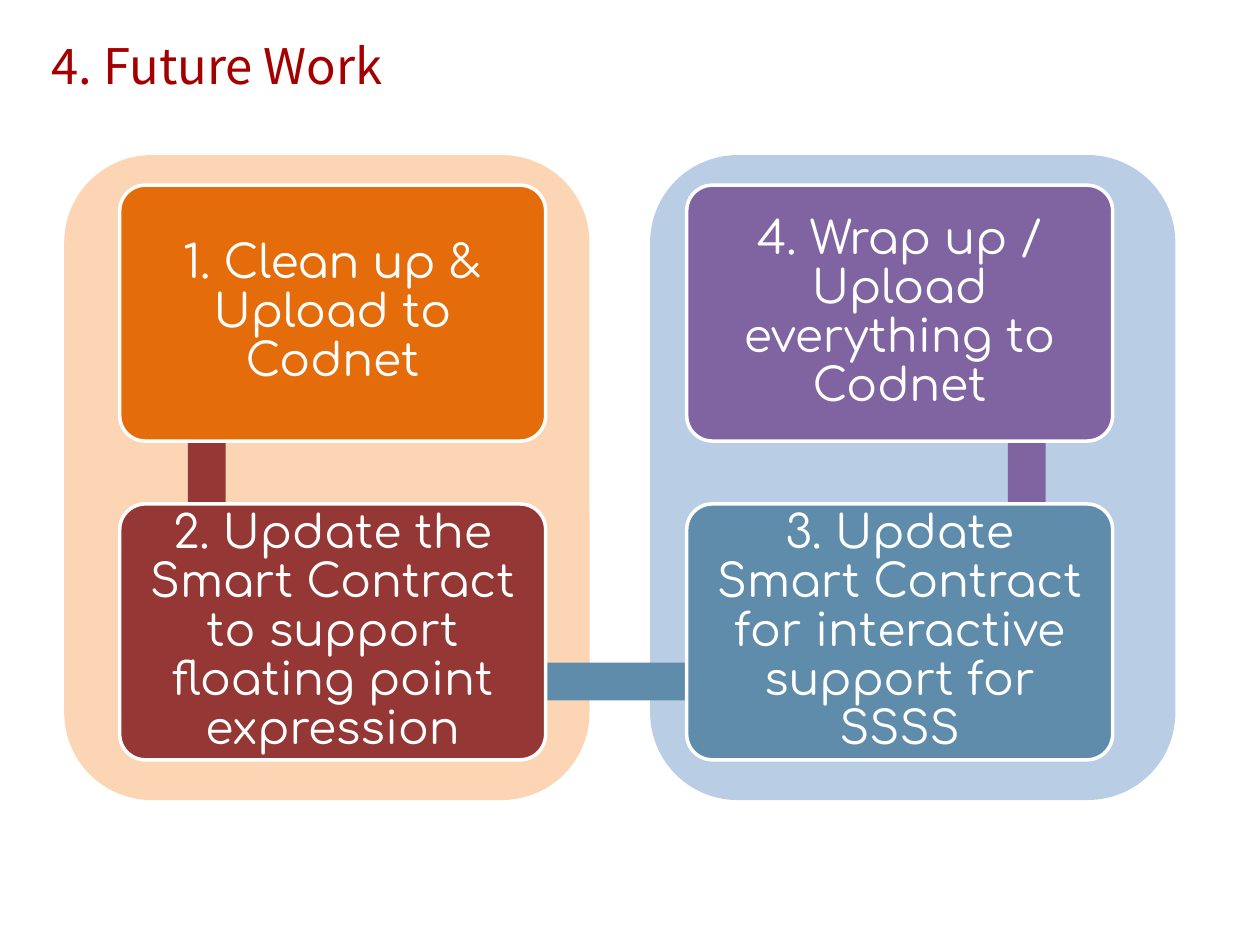
"""Build the Future Work slide: four linked steps on two panels."""
from dataclasses import dataclass

from pptx import Presentation
from pptx.dml.color import RGBColor
from pptx.enum.shapes import MSO_SHAPE
from pptx.enum.text import MSO_ANCHOR, PP_ALIGN
from pptx.util import Pt

RECT, ROUND = MSO_SHAPE.RECTANGLE, MSO_SHAPE.ROUNDED_RECTANGLE
MIDDLE = MSO_ANCHOR.MIDDLE
LEFT, CENTER = PP_ALIGN.LEFT, PP_ALIGN.CENTER


@dataclass(frozen=True)
class Theme:
    """Colours, fonts and type sizes."""
    title: str = "A40000"
    white: str = "FFFFFF"
    peach: str = "FCD5B5"
    sky: str = "B9CDE5"
    orange: str = "E46C0A"
    red: str = "953735"
    blue: str = "608CAB"
    purple: str = "8064A2"
    title_font: str = "Noto Sans CJK KR"
    step_font: str = "Comfortaa"
    title_size: float = 28
    step_size: float = 26


@dataclass(frozen=True)
class Block:
    """A filled shape: left, top, width and height in points."""
    box: tuple[float, float, float, float]
    color: str
    rotation: float = 0


@dataclass(frozen=True)
class Step:
    """A step card at a grid column and row."""
    col: int
    row: int
    color: str
    text: str


THEME = Theme()
GRID_X, GRID_Y, PITCH_X, PITCH_Y = 68.4, 105.84, 324, 182.16
CARD_W, CARD_H = 243.4, 146.2
BAR_LENGTH, BAR_WIDTH = 181.4, 21.6
PANELS = [
    Block((371.5, 88.6, 300.2, 368.6), THEME.sky),
    Block((36.7, 88.6, 300.2, 368.6), THEME.peach),
]
BARS = [
    Block((27.4, 221.8, BAR_LENGTH, BAR_WIDTH), THEME.red, 90),
    Block((118.8, 378.7, 322.6, BAR_WIDTH), THEME.blue),
    Block((496.1, 221.8, BAR_LENGTH, BAR_WIDTH), THEME.purple, 270),
]
STEPS = [
    Step(0, 0, THEME.orange, "1. Clean up & Upload to Codnet"),
    Step(0, 1, THEME.red,
         "2. Update the Smart Contract to support floating point expression"),
    Step(1, 1, THEME.blue,
         "3. Update Smart Contract for interactive support for SSSS"),
    Step(1, 0, THEME.purple, "4. Wrap up / Upload everything to Codnet"),
]


def add_block(s, block: Block, kind):
    """Draw a filled shape without outline or shadow."""
    sp = s.shapes.add_shape(kind, *map(Pt, block.box))
    sp.shadow.inherit = False
    sp.fill.solid()
    sp.fill.fore_color.rgb = RGBColor.from_string(block.color)
    sp.line.fill.background()
    sp.rotation = block.rotation
    return sp


def write(sp, text: str, font: str, size: float, color: str, frame: dict, para: dict) -> None:
    """Write one formatted paragraph into a shape."""
    tf = sp.text_frame
    p = tf.paragraphs[0]
    r = p.add_run()
    r.text = text
    r.font.color.rgb = RGBColor.from_string(color)
    formats = [
        (tf, {"word_wrap": True, "vertical_anchor": MIDDLE, **frame}),
        (p, para),
        (r.font, {"name": font, "size": Pt(size)}),
    ]
    for target, values in formats:
        for name, value in values.items():
            setattr(target, name, value)


def add_step(s, step: Step) -> None:
    """Draw a step card on the grid with its caption."""
    box = (GRID_X + step.col * PITCH_X, GRID_Y + step.row * PITCH_Y, CARD_W, CARD_H)
    sp = add_block(s, Block(box, step.color), ROUND)
    sp.adjustments[0] = 0.1
    sp.line.color.rgb = RGBColor.from_string(THEME.white)
    sp.line.width = Pt(2)
    insets = {f"margin_{side}": Pt(8) for side in ("left", "top", "right", "bottom")}
    write(sp, step.text, THEME.step_font, THEME.step_size, THEME.white,
          insets, {"alignment": CENTER, "line_spacing": 0.9})


def main() -> None:
    """Build and save the slide."""
    prs = Presentation()
    prs.slide_width, prs.slide_height = Pt(720), Pt(540)
    s = prs.slides.add_slide(prs.slide_layouts[6])
    for panel in PANELS:
        add_block(s, panel, ROUND)
    sp = s.shapes.add_textbox(Pt(22.3), Pt(7.9), Pt(668.9), Pt(58.3))
    write(sp, "4. Future Work", THEME.title_font, THEME.title_size, THEME.title,
          {}, {"alignment": LEFT})
    for bar in BARS:
        add_block(s, bar, RECT)
    for step in STEPS:
        add_step(s, step)
    prs.save("out.pptx")


if __name__ == "__main__":
    main()
